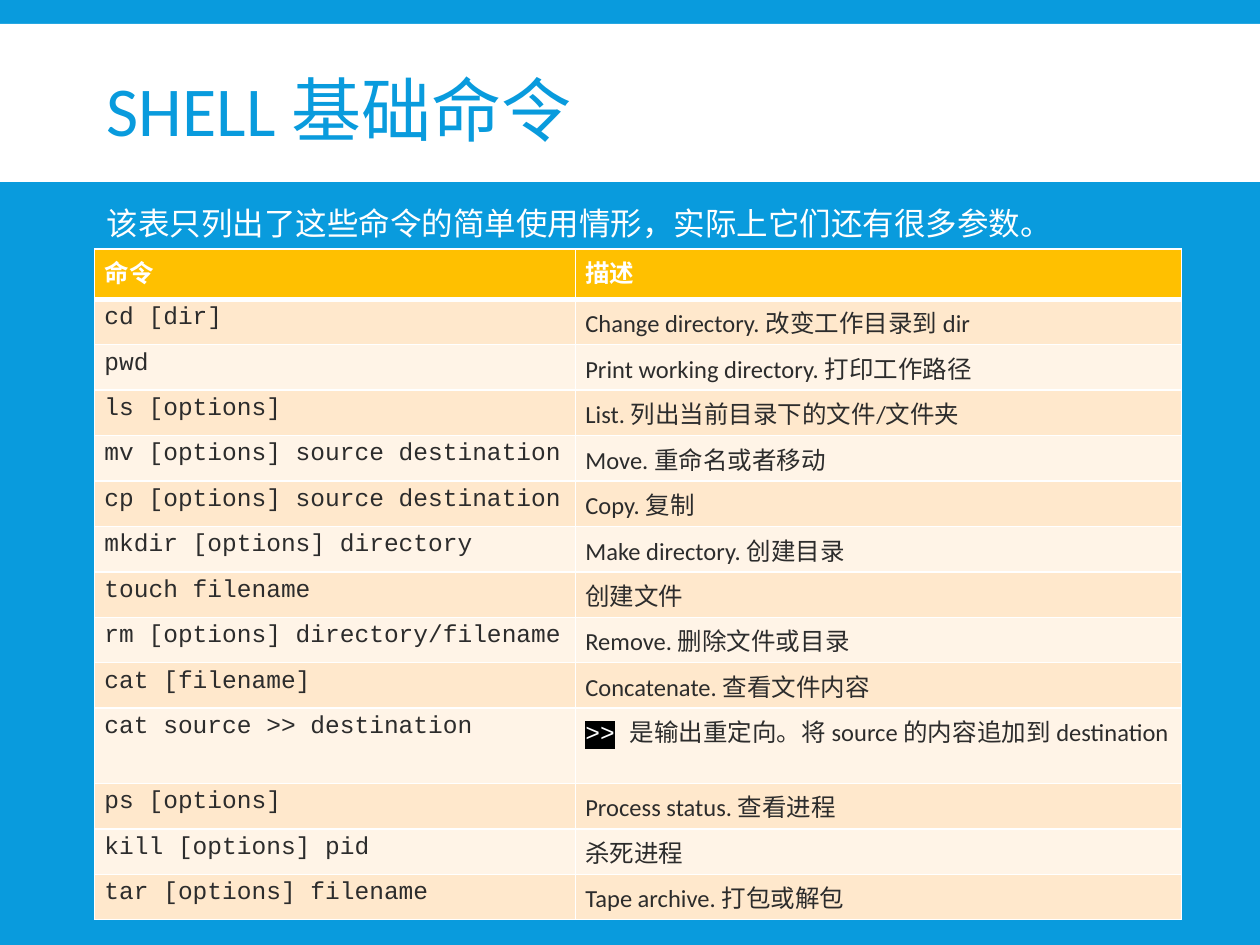
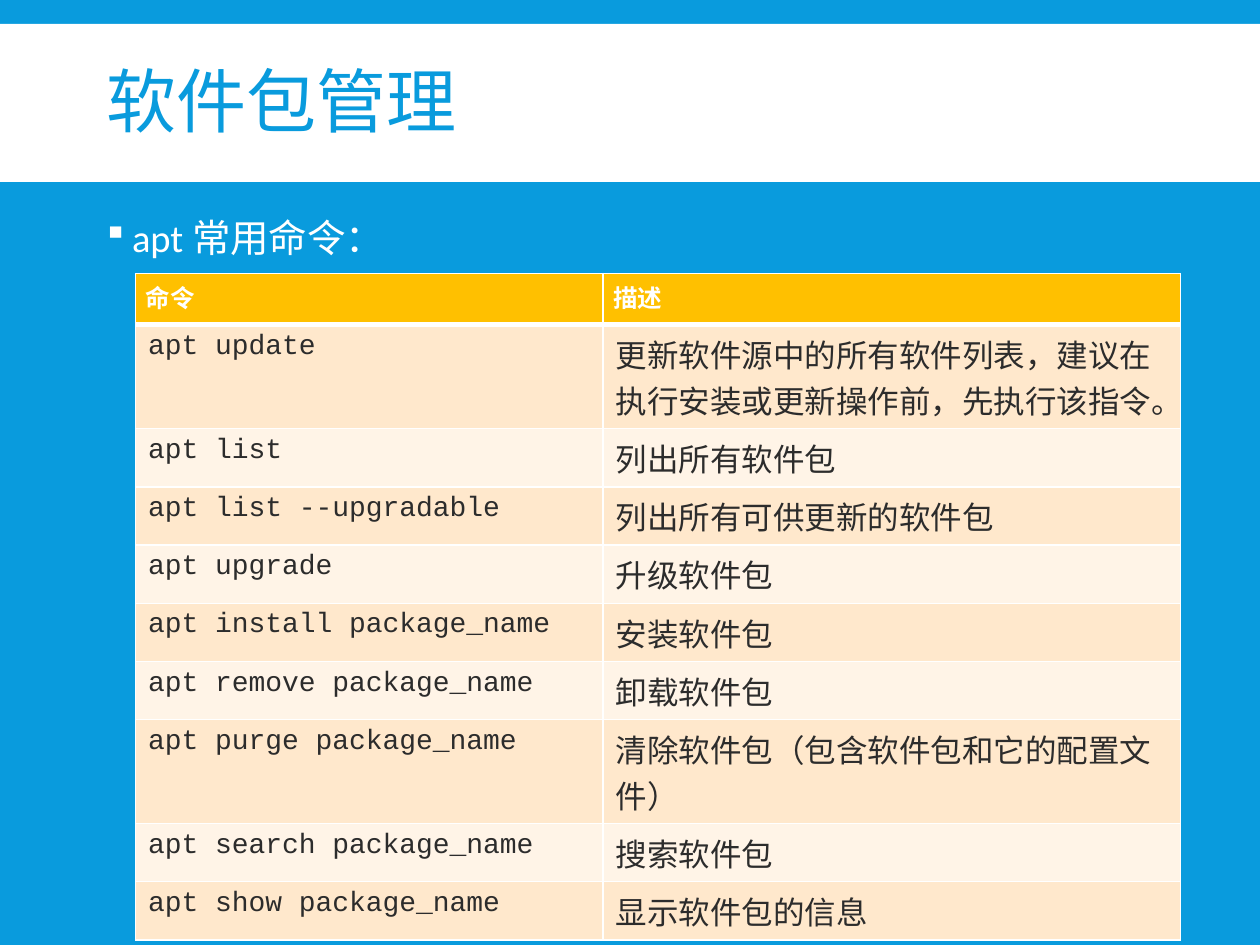
from lxml.etree import SubElement
from pptx import Presentation
from pptx.dml.color import RGBColor
from pptx.enum.shapes import MSO_SHAPE as Preset
from pptx.enum.text import MSO_ANCHOR as Anchor
from pptx.oxml import parse_xml
from pptx.oxml.ns import nsdecls, qn
from pptx.util import Pt

BLUE, WHITE, BLACK, INK = "099BDD", "FFFFFF", "000000", "2C2C2C"
AMBER, BANDS = "FFC000", ("FFE8CC", "FFF4E7")
BODY_FONT, CODE_FONT = "Calibri", "Courier New"
LEFT, CONTENT_WIDTH = 54, 612
HEADINGS = ("命令", "描述")
REDIRECT = "cat source >> destination"
TWO_LINE_COMMANDS = {REDIRECT, "apt update", "apt purge package_name"}

BASIC_COMMANDS = [
    ("cd [dir]", "Change directory. 改变工作目录到 dir"),
    ("pwd", "Print working directory. 打印工作路径"),
    ("ls [options]", "List. 列出当前目录下的文件/文件夹"),
    ("mv [options] source destination", "Move. 重命名或者移动"),
    ("cp [options] source destination", "Copy. 复制"),
    ("mkdir [options] directory", "Make directory. 创建目录"),
    ("touch filename", "创建文件"),
    ("rm [options] directory/filename", "Remove. 删除文件或目录"),
    ("cat [filename]", "Concatenate. 查看文件内容"),
    (REDIRECT, (">>", " 是输出重定向。", "将 source 的内容追加到 destination")),
    ("ps [options]", "Process status. 查看进程"),
    ("kill [options] pid", "杀死进程"),
    ("tar [options] filename", "Tape archive. 打包或解包"),
]
APT_COMMANDS = [
    ("apt update", "更新软件源中的所有软件列表，建议在执行安装或更新操作前，先执行该指令。"),
    ("apt list", "列出所有软件包"),
    ("apt list --upgradable", "列出所有可供更新的软件包"),
    ("apt upgrade", "升级软件包"),
    ("apt install package_name", "安装软件包"),
    ("apt remove package_name", "卸载软件包"),
    ("apt purge package_name", "清除软件包（包含软件包和它的配置文件）"),
    ("apt search package_name", "搜索软件包"),
    ("apt show package_name", "显示软件包的信息"),
]


def paint(fill, color):
    fill.solid()
    fill.fore_color.rgb = RGBColor.from_string(color)


def style_span(span, size, color, font=BODY_FONT, bold=False):
    span.font.size, span.font.name, span.font.bold = Pt(size), font, bold
    paint(span.font.fill, color)


def highlight(span, color):
    mark = parse_xml(f'<a:highlight {nsdecls("a")}><a:srgbClr val="{color}"/></a:highlight>')
    span.font.fill._xPr.find(qn("a:latin")).addprevious(mark)


def add_text(page, text, top, height, size, color, anchor=Anchor.TOP):
    box = page.shapes.add_textbox(Pt(LEFT), Pt(top), Pt(CONTENT_WIDTH), Pt(height))
    frame = box.text_frame
    frame.word_wrap, frame.vertical_anchor = True, anchor
    frame.text = text
    para = frame.paragraphs[0]
    style_span(para.runs[0], size, color)
    return para


def add_bullet(para):
    para.line_spacing, para.space_before, para.space_after = 0.9, Pt(12), Pt(2)
    properties = para._p.get_or_add_pPr()
    properties.set("marL", str(Pt(14.4)))
    properties.set("indent", str(-Pt(14.4)))
    color = SubElement(properties, qn("a:buClr"))
    SubElement(color, qn("a:srgbClr"), val=WHITE)
    SubElement(properties, qn("a:buFont"), typeface="Wingdings", charset="2")
    SubElement(properties, qn("a:buChar"), char="§")


def add_page(deck, title, title_height):
    page = deck.slides.add_slide(deck.slide_layouts[6])
    paint(page.background.fill, BLUE)
    band = page.shapes.add_shape(Preset.RECTANGLE, 0, Pt(13.7), deck.slide_width, Pt(90.3))
    band.shadow.inherit = False
    band.line.fill.background()
    paint(band.fill, WHITE)
    para = add_text(page, title, 22.3, title_height, 40, BLUE, Anchor.MIDDLE)
    para.line_spacing = 0.85
    return page


def set_borders(cell, top, bottom):
    properties = cell._tc.get_or_add_tcPr()
    sides = {"lnL": 1, "lnR": 1, "lnT": top, "lnB": bottom}
    for index, (side, width) in enumerate(sides.items()):
        properties.insert(index, parse_xml(
            f'<a:{side} {nsdecls("a")} w="{Pt(width)}"><a:solidFill>'
            f'<a:srgbClr val="{WHITE}"/></a:solidFill></a:{side}>'))


def fill_cell(cell, text, fill, margins, size, color, font=BODY_FONT, bold=False):
    cell.margin_left = cell.margin_right = Pt(margins[0])
    cell.margin_top = cell.margin_bottom = Pt(margins[1])
    paint(cell.fill, fill)
    para = cell.text_frame.paragraphs[0]
    for part in [text] if isinstance(text, str) else text:
        span = para.add_run()
        span.text = part
        style_span(span, size, color, font, bold)


def add_command_table(page, commands, left, top, widths, heights, sizes, margins):
    header_height, one_line, two_lines = heights
    row_heights = [header_height] + [
        two_lines if command in TWO_LINE_COMMANDS else one_line for command, _ in commands]
    table = page.shapes.add_table(
        len(row_heights), 2, Pt(left), Pt(top), Pt(sum(widths)), Pt(sum(row_heights))).table
    table.horz_banding = False
    for column, width in zip(table.columns, widths):
        column.width = Pt(width)
    for row, height in zip(table.rows, row_heights):
        row.height = Pt(height)
    for cell, heading in zip(table.rows[0].cells, HEADINGS):
        fill_cell(cell, heading, AMBER, (5.76, 2.88), 14, WHITE, bold=True)
        set_borders(cell, 1, 3)
    for index, texts in enumerate(commands):
        cells = table.rows[index + 1].cells
        for cell, text, size, font in zip(cells, texts, sizes, (CODE_FONT, BODY_FONT)):
            fill_cell(cell, text, BANDS[index % 2], margins, size, INK, font)
            set_borders(cell, 1 if index else 3, 1)
    return table


def mark_redirect(table):
    row = [command for command, _ in BASIC_COMMANDS].index(REDIRECT) + 1
    operator, meaning, _ = table.cell(row, 1).text_frame.paragraphs[0].runs
    style_span(operator, 14, WHITE, CODE_FONT)
    style_span(meaning, 14, INK, CODE_FONT)
    highlight(operator, BLACK)


def main():
    deck = Presentation()
    deck.slide_width, deck.slide_height = Pt(720), Pt(540)

    page = add_page(deck, "SHELL 基础命令", 87.1)
    table = add_command_table(page, BASIC_COMMANDS, LEFT, 142.2, (274.8, 346.4),
                              (28.8, 25.97, 43), (14, 14), (5.7, 2.88))
    mark_redirect(table)
    add_text(page, "该表只列出了这些命令的简单使用情形，实际上它们还有很多参数。",
             113, 28.8, 18, WHITE)

    page = add_page(deck, "软件包管理", 77)
    add_bullet(add_text(page, "apt 常用命令：", 121.7, 378, 22, WHITE))
    add_command_table(page, APT_COMMANDS, 77.5, 156.4, (267.1, 330),
                      (29.2, 33.26, 59.4), (16, 18), (7.2, 3.6))

    deck.save("out.pptx")


if __name__ == "__main__":
    main()
